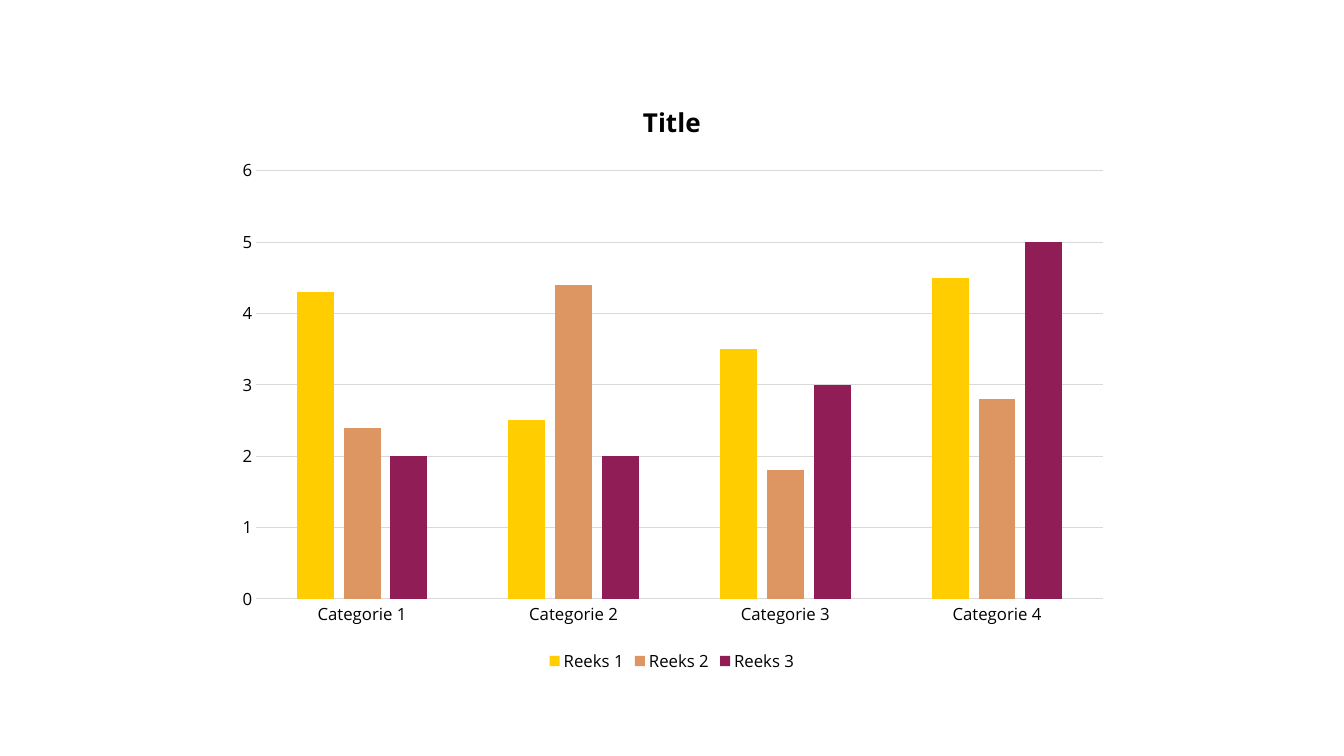
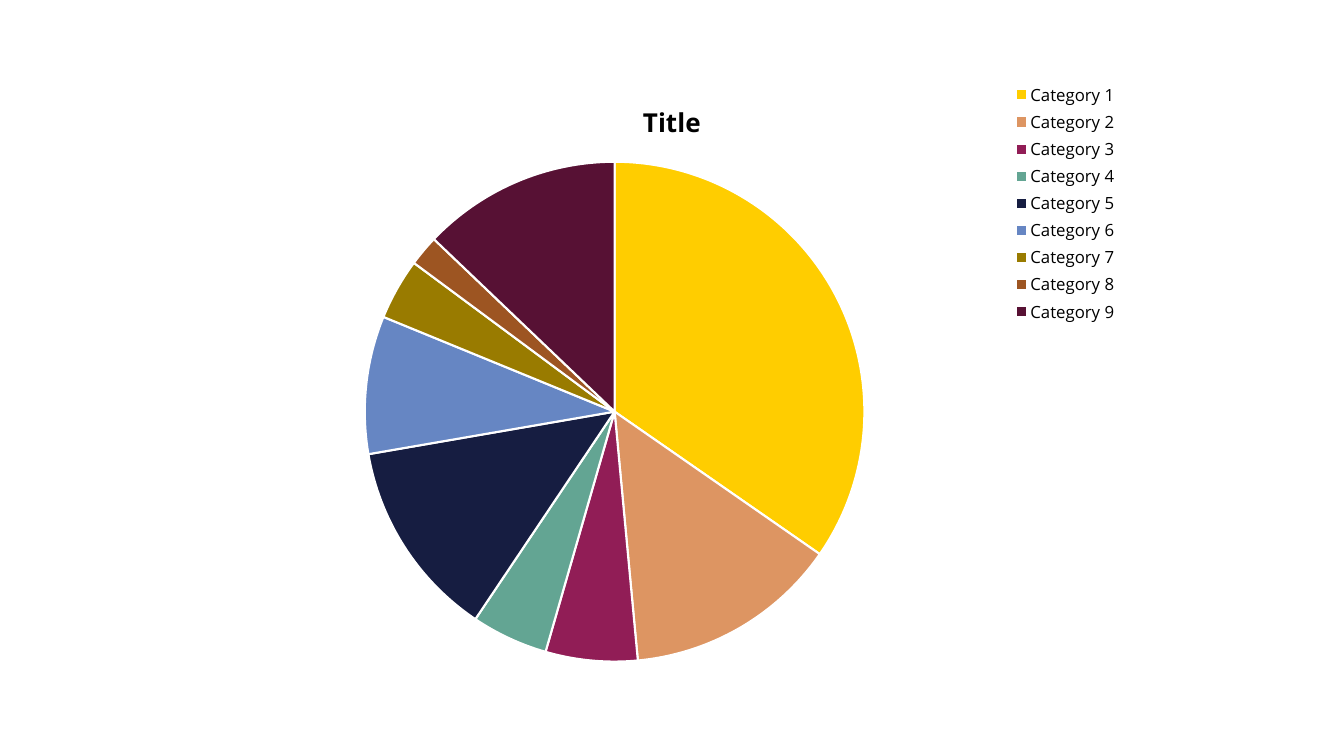
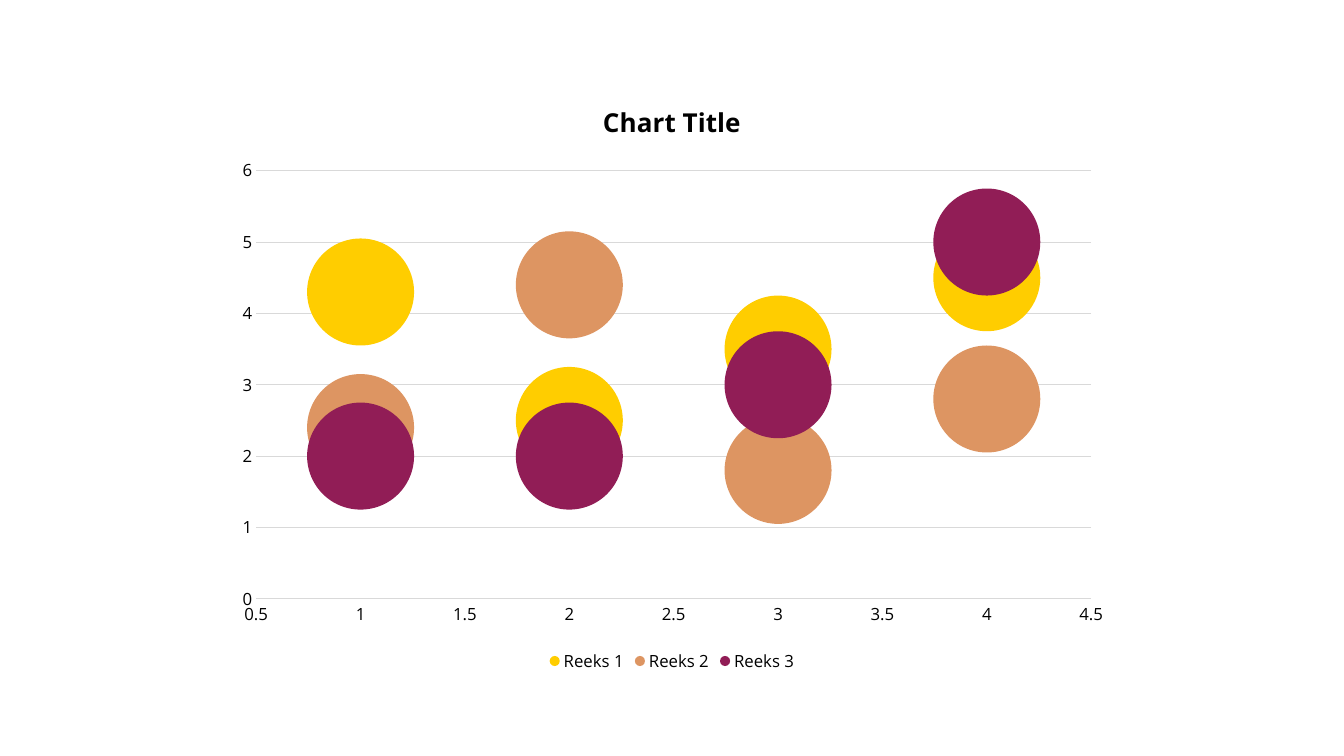
import pptx
import pptx.util
import pptx.chart.data
import pptx.dml.color
import pptx.enum.chart
import pptx.oxml

RGB = pptx.dml.color.RGBColor
KIND = pptx.enum.chart.XL_CHART_TYPE
SPOT = pptx.enum.chart.XL_LEGEND_POSITION
TICK = pptx.enum.chart.XL_TICK_MARK
Pt = pptx.util.Pt

BLACK = RGB(0x00, 0x00, 0x00)
WHITE = RGB(0xFF, 0xFF, 0xFF)
GREY = RGB(0xD9, 0xD9, 0xD9)
GOLD = RGB(0xFF, 0xCD, 0x00)
TAN = RGB(0xDD, 0x95, 0x62)
PLUM = RGB(0x91, 0x1D, 0x56)
GREEN = RGB(0x63, 0xA5, 0x93)
NAVY = RGB(0x16, 0x1D, 0x41)
BLUE = RGB(0x66, 0x86, 0xC3)
OLIVE = RGB(0x99, 0x7B, 0x00)
RUST = RGB(0x9D, 0x55, 0x22)
WINE = RGB(0x57, 0x11, 0x34)
TONES = [GOLD, TAN, PLUM, GREEN, NAVY, BLUE, OLIVE, RUST, WINE]
FACE = "Open Sans"

deck = pptx.Presentation()
deck.slide_width = pptx.util.Inches(13.34)
deck.slide_height = pptx.util.Inches(7.5)
wide, high = deck.slide_width, deck.slide_height


def style(font, size, bold):
    font.name = FACE
    font.size = Pt(size)
    font.bold = bold
    font.color.rgb = BLACK


def draw(kind, data, title, spot, area):
    slide = deck.slides.add_slide(deck.slide_layouts[6])
    frame = slide.shapes.add_chart(
        kind, wide // 6, int(high * 0.105), wide * 2 // 3, int(high * 0.79), data)
    chart = frame.chart
    style(chart.font, 12, False)
    chart.has_title = True
    chart.chart_title.include_in_layout = False
    text = chart.chart_title.text_frame
    text.text = title
    style(text.paragraphs[0].font, 18.6, True)
    chart.has_legend = True
    chart.legend.position = spot
    chart.legend.include_in_layout = False
    style(chart.legend.font, 12, False)

    plot = chart.element.chart.plotArea
    for old in plot.findall(pptx.oxml.ns.qn("c:layout")):
        plot.remove(old)
    parts = "".join(f'<c:{tag} val="{share}"/>' for tag, share in zip("xywh", area))
    plot.insert(0, pptx.oxml.parse_xml(
        f'<c:layout {pptx.oxml.ns.nsdecls("c")}><c:manualLayout>'
        '<c:layoutTarget val="inner"/><c:xMode val="edge"/><c:yMode val="edge"/>'
        f'{parts}</c:manualLayout></c:layout>'))
    return chart


rows = {
    "Reeks 1": [4.3, 2.5, 3.5, 4.5],
    "Reeks 2": [2.4, 4.4, 1.8, 2.8],
    "Reeks 3": [2, 2, 3, 5],
}

bars = pptx.chart.data.CategoryChartData()
bars.categories = [f"Categorie {n}" for n in range(1, 5)]
dots = pptx.chart.data.BubbleChartData()
for name, vals in rows.items():
    bars.add_series(name, vals)
    line = dots.add_series(name)
    for n, val in enumerate(vals, 1):
        line.add_data_point(n, val, 1)

pie = pptx.chart.data.CategoryChartData()
pie.categories = [f"Category {n}" for n in range(1, 10)]
pie.add_series("Series 1", [35, 14, 6, 5, 13, 9, 4, 2, 13])

column = draw(KIND.COLUMN_CLUSTERED, bars, "Title", SPOT.BOTTOM,
              (0.036, 0.153, 0.945, 0.717))
column.plots[0].gap_width = 219
column.plots[0].overlap = -27
column.plots[0].vary_by_categories = False

round_ = draw(KIND.PIE, pie, "Title", SPOT.CORNER, (0.157, 0.138, 0.558, 0.837))
round_.plots[0].vary_by_categories = True
for n, tone in enumerate(TONES):
    look = round_.plots[0].series[0].points[n].format
    look.fill.solid()
    look.fill.fore_color.rgb = tone
    look.line.color.rgb = WHITE
    look.line.width = Pt(1.5)

bubble = draw(KIND.BUBBLE, dots, "Chart Title", SPOT.BOTTOM,
              (0.036, 0.153, 0.932, 0.717))
base = bubble.category_axis
base.minimum_scale = 0.5
base.maximum_scale = 4.5
base.major_unit = 0.5

for chart in (column, bubble):
    for tone, line in zip(TONES, chart.plots[0].series):
        line.format.fill.solid()
        line.format.fill.fore_color.rgb = tone
        line.format.line.fill.background()
    base, side = chart.category_axis, chart.value_axis
    for axis in (base, side):
        axis.has_title = False
        axis.major_tick_mark = TICK.NONE
        axis.minor_tick_mark = TICK.NONE
        style(axis.tick_labels.font, 12, False)
    base.has_major_gridlines = False
    side.has_major_gridlines = True
    side.minimum_scale = 0
    side.maximum_scale = 6
    side.major_unit = 1
    side.format.line.fill.background()
    for rule in (base.format.line, side.major_gridlines.format.line):
        rule.color.rgb = GREY
        rule.width = Pt(0.75)

deck.save("out.pptx")
